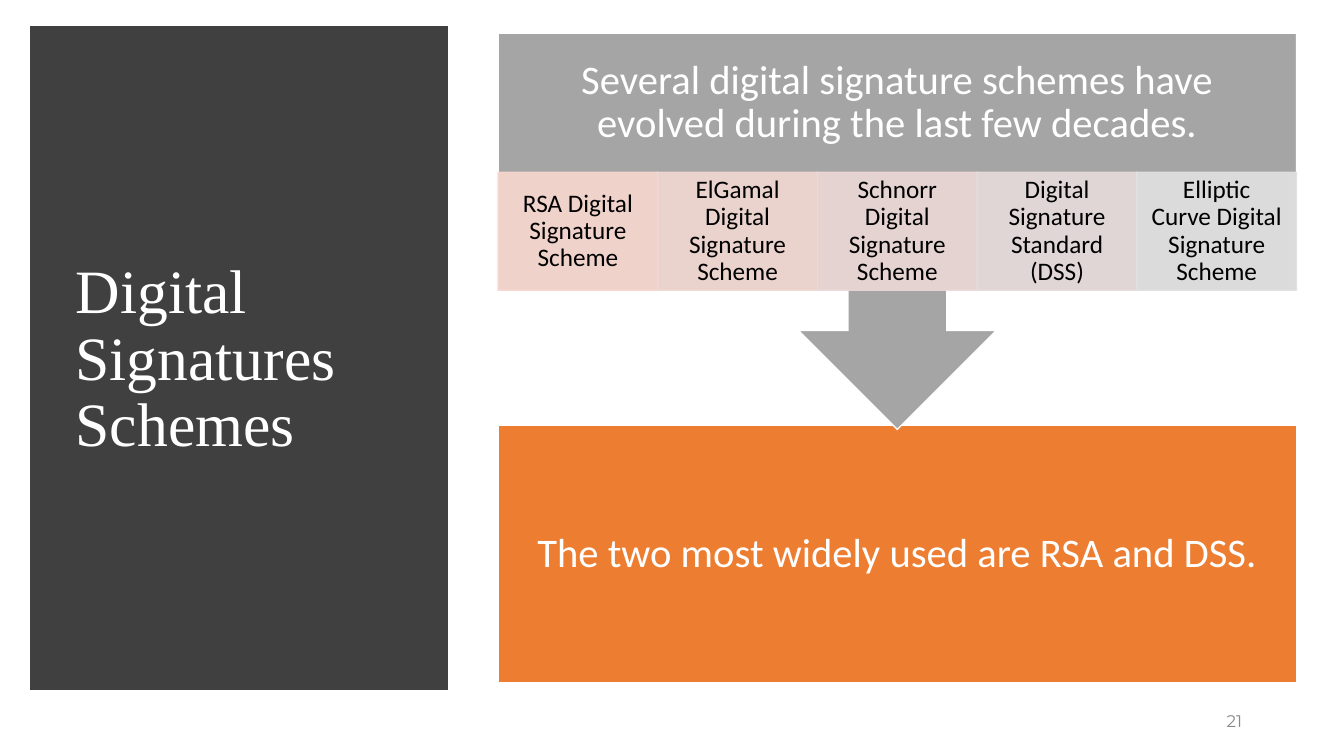
"""Build the slide on digital signature schemes."""
from lxml.etree import SubElement
from pptx import Presentation
from pptx.dml.color import RGBColor
from pptx.enum.shapes import MSO_SHAPE
from pptx.enum.text import MSO_ANCHOR, MSO_AUTO_SIZE, PP_ALIGN
from pptx.oxml.ns import qn
from pptx.util import Inches, Pt

HUES = {
    "panel": "404040", "white": "FFFFFF", "black": "000000",
    "orange": "ED7D31", "grey": "A5A5A5", "page": "898989",
    "rsa": "F8D7CE", "gamal": "F2D8D2", "schnorr": "EDD9D7",
    "dss": "E7DCDC", "curve": "E1E1E1",
}
SCHEMES = [
    ("rsa", "RSA Digital Signature Scheme"),
    ("gamal", "ElGamal Digital Signature Scheme"),
    ("schnorr", "Schnorr Digital Signature Scheme"),
    ("dss", "Digital Signature Standard (DSS)"),
    ("curve", "Elliptic Curve Digital Signature Scheme"),
]
LEFT, WIDE = 37.06, 59.41
BIG_PAD, CELL_PAD = (0.23, 0.23), (0.14, 0.03)


class Deck:
    """Hold the style and slide, with lengths in percent of the slide's size."""

    def __init__(self):
        self.show = Presentation()
        self.show.slide_width = Inches(13.33)
        self.show.slide_height = Inches(7.5)
        self.slide = self.show.slides.add_slide(self.show.slide_layouts[5])
        self.face = "Calibri"

    def place(self, x, y, w, h):
        across, down = self.show.slide_width / 100, self.show.slide_height / 100
        return [round(n) for n in (x * across, y * down, w * across, h * down)]

    def letter(self, item, text, size, hue="white", face=None,
               align=PP_ALIGN.CENTER, pad=(0.1, 0.05), lead=0.9):
        frame = item.text_frame
        frame.text = text
        frame.word_wrap = True
        frame.auto_size = MSO_AUTO_SIZE.NONE
        frame.vertical_anchor = MSO_ANCHOR.MIDDLE
        frame.margin_left = frame.margin_right = Inches(pad[0])
        frame.margin_top = frame.margin_bottom = Inches(pad[1])
        para = frame.paragraphs[0]
        para.alignment, para.line_spacing = align, lead
        para.font.name, para.font.size = face or self.face, Pt(size)
        para.font.color.rgb = RGBColor.from_string(HUES[hue])

    def title(self, area, text, **style):
        head = self.slide.shapes.title
        head.left, head.top, head.width, head.height = self.place(*area)
        self.letter(head, text, **style)

    def label(self, area, text, **style):
        self.letter(self.slide.shapes.add_textbox(*self.place(*area)), text, **style)

    def shape(self, area, fill, edge="white", width=1, kind=MSO_SHAPE.RECTANGLE):
        item = self.slide.shapes.add_shape(kind, *self.place(*area))
        item.shadow.inherit = False
        item.fill.solid()
        item.fill.fore_color.rgb = RGBColor.from_string(HUES[fill])
        item.line.color.rgb = RGBColor.from_string(HUES[edge])
        item.line.width = Pt(width)
        SubElement(item.element.spPr.find(qn("a:ln")), qn("a:miter")).set("lim", "800000")
        return item

    def box(self, area, fill, text):
        self.letter(self.shape(area, fill), text, size=29, pad=BIG_PAD)

    def cell(self, area, hue, text):
        item = self.shape(area, hue, edge=hue)
        for tint in item.element.spPr.iter(qn("a:srgbClr")):
            SubElement(tint, qn("a:alpha")).set("val", "90000")
        self.letter(item, text, size=18, hue="black", pad=CELL_PAD)


def main():
    deck = Deck()
    panel = deck.shape((2.78, 4.4, 30, 86), "panel", edge="panel", width=10)
    deck.slide.shapes.title.element.addprevious(panel.element)
    deck.title((4.88, 9.33, 25.96, 76.67), "Digital Signatures Schemes", size=44,
               face="Times New Roman", align=PP_ALIGN.LEFT)
    deck.label((70.67, 92.67, 22.5, 5.33), "21", size=12, hue="page",
               face="Montserrat", align=PP_ALIGN.RIGHT, lead=1.0)

    deck.box((LEFT, 56.27, WIDE, 34), "orange",
             "The two most widely used are RSA and DSS.")
    arrow = deck.shape((LEFT, 4.4, WIDE, 52.4), "grey",
                       kind=MSO_SHAPE.UP_ARROW_CALLOUT)
    arrow.rotation = 180
    deck.label((LEFT, 4.4, WIDE, 18.4),
               "Several digital signature schemes have evolved during the last few decades.",
               size=29, pad=BIG_PAD)

    step = WIDE / len(SCHEMES)
    for col, (hue, text) in enumerate(SCHEMES):
        deck.cell((LEFT + col * step, 22.8, step, 15.6), hue, text)
    deck.show.save("out.pptx")


if __name__ == "__main__":
    main()
